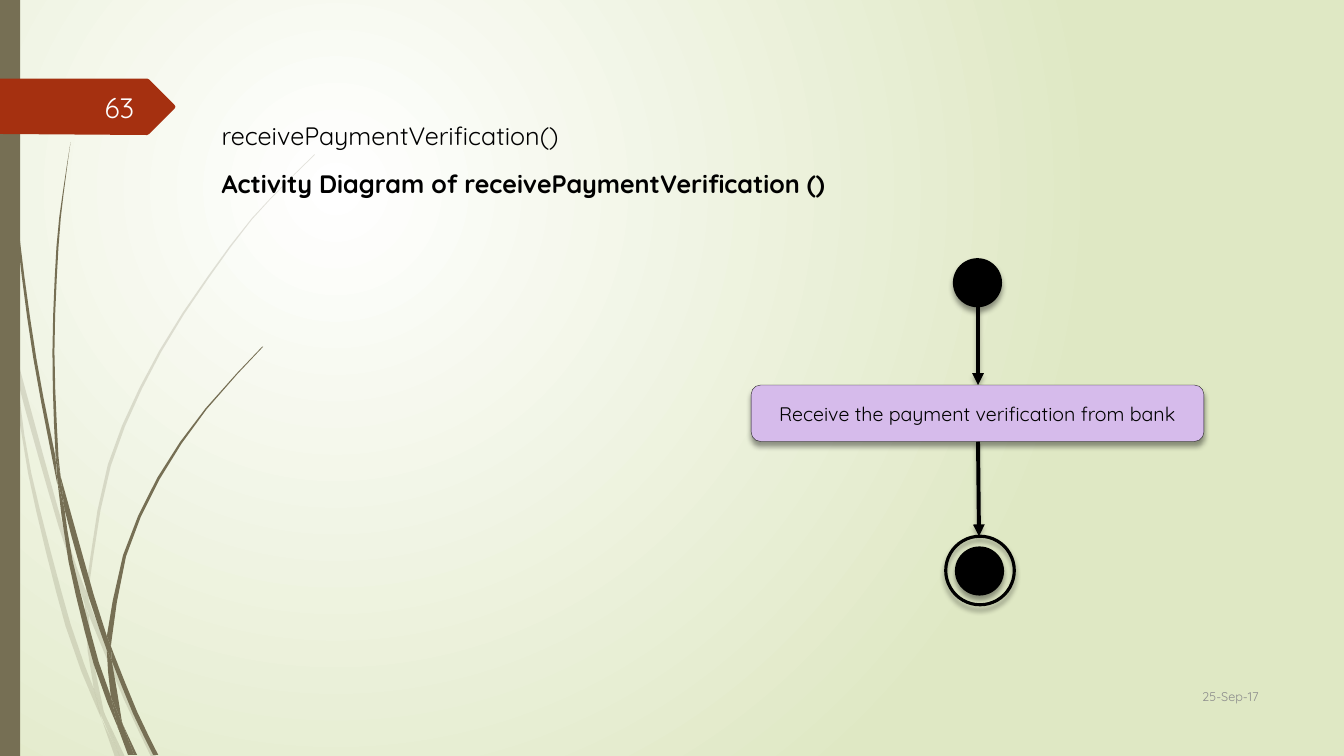
from dataclasses import dataclass
from math import ceil, dist
from typing import Optional

from lxml.etree import SubElement
from pptx import Presentation
from pptx.dml.color import RGBColor
from pptx.enum.shapes import MSO_CONNECTOR, MSO_SHAPE
from pptx.enum.text import MSO_ANCHOR, PP_ALIGN
from pptx.oxml.ns import qn
from pptx.util import Emu, Pt

PX = 9144  # EMU in one px, 100 px to the inch
CURVE_STEP = 45  # longest straight piece of a curve, in px
FONT = "Quicksand"
COLOURS = {
    "white": "FFFFFF", "meadow": "DFE8C4", "stem": "766F54", "banner": "A53010",
    "number": "FEFFFF", "date": "8C8C8C", "ink": "000000", "action": "D6BBEB",
}

Point = tuple[int, int]
Edge = list[Point]
Blade = list[Edge]

# Each blade is closed by smooth edges that meet in corners.
FAINT_BLADES: list[Blade] = [
    [[(11, 350), (9, 322), (0, 282)], [(0, 299), (10, 344)]],
    [[(14, 345), (17, 376), (58, 522), (84, 599)], [(85, 586), (62, 520), (14, 345)]],
    [[(88, 596), (92, 607), (127, 692), (155, 751)], [(150, 751), (123, 694), (88, 610)]],
    [[(105, 711), (124, 751)], [(119, 751)]],
    [[(11, 350), (17, 376), (31, 469), (70, 619), (93, 683), (101, 714)],
     [(92, 693), (65, 621), (28, 470), (11, 350)]],
    [[(84, 599), (87, 646), (93, 683), (96, 692), (105, 711)],
     [(103, 706), (91, 646), (88, 610)]],
    [[(85, 586), (107, 461), (158, 348), (228, 244), (268, 197), (312, 153)],
     [(312, 154), (268, 198), (229, 245), (160, 349), (110, 462), (88, 584), (88, 596)]],
    [[(101, 714), (114, 751)], [(119, 751)]],
    [[(85, 586), (84, 599), (88, 608)], [(88, 596)]],
    [[(93, 683), (99, 707), (119, 751)], [(105, 711), (96, 692)]],
]
DARK_BLADES: list[Blade] = [
    [[(3, 0), (4, 48), (7, 110), (17, 233), (33, 355), (57, 481)],
     [(55, 453), (36, 355), (19, 232), (8, 109), (5, 48), (4, 0)]],
    [[(60, 472), (64, 505), (88, 592), (106, 645)], [(106, 631), (93, 590), (60, 472)]],
    [[(110, 641), (113, 649), (136, 706), (157, 749)], [(152, 749), (132, 708), (111, 656)]],
    [[(57, 477), (68, 557), (93, 659), (117, 722)],
     [(116, 717), (110, 691), (98, 657), (72, 556), (64, 505), (57, 477)]],
    [[(60, 472), (58, 453), (54, 349), (58, 245), (63, 193), (70, 141)],
     [(70, 141), (62, 193), (56, 245), (52, 349), (55, 449), (60, 472)]],
    [[(122, 719), (133, 749)], [(136, 749)]],
    [[(55, 449), (57, 477), (64, 505)], [(60, 472)]],
    [[(111, 633), (125, 552), (158, 476), (205, 406), (261, 344)],
     [(260, 344), (204, 405), (156, 474), (122, 551), (106, 631)], [(110, 641)]],
    [[(117, 722), (127, 749)], [(131, 749)]],
    [[(106, 645), (110, 691), (122, 719)], [(121, 716), (111, 656), (106, 645)]],
    [[(106, 631), (106, 645), (111, 656)], [(110, 641)]],
    [[(110, 691), (117, 722), (130, 749)], [(133, 749), (122, 719), (110, 691)]],
]
BANNER: list[Point] = [(0, 78), (146, 78), (148, 79), (173, 104), (174, 106),
                       (173, 108), (148, 133), (146, 134), (0, 133)]


@dataclass(frozen=True)
class Node:
    left: int
    top: int
    width: int
    height: int
    fill: Optional[str] = "ink"
    line_width: float = 1.25
    kind: MSO_SHAPE = MSO_SHAPE.FLOWCHART_CONNECTOR


@dataclass(frozen=True)
class Arrow:
    start: Point
    end: Point


START = Node(946, 257, 47, 47)
END_DOT = Node(948, 543, 47, 47)
END_RING = Node(938, 532, 68, 68, None, 2.25)
ACTION = Node(745, 382, 449, 56, "action", 0.25, MSO_SHAPE.FLOWCHART_ALTERNATE_PROCESS)
TO_ACTION = Arrow((970, 304), (970, 382))
TO_END = Arrow((970, 438), (971, 532))


def px(*lengths: int) -> list[Emu]:
    return [Emu(length * PX) for length in lengths]


def rgb(name: str) -> RGBColor:
    return RGBColor.from_string(COLOURS[name])


def add_alpha(paint, percent: int) -> None:
    SubElement(paint, qn("a:alpha"), val=str(percent * 1000))


def smooth(edge: Edge) -> list[tuple[float, float]]:
    """Sample a Catmull-Rom curve through the points of an edge."""
    padded = [edge[0], *edge, edge[-1]]
    samples: list[tuple[float, float]] = [edge[0]]
    for a, b, c, d in zip(padded, padded[1:], padded[2:], padded[3:]):
        steps = ceil(dist(b, c) / CURVE_STEP)
        for step in range(1, steps + 1):
            t = step / steps
            x, y = (
                (2 * q + (r - p) * t + (2 * p - 5 * q + 4 * r - s) * t ** 2
                 + (3 * q - p - 3 * r + s) * t ** 3) / 2
                for p, q, r, s in zip(a, b, c, d))
            samples.append((x, y))
    return samples


def paint_flat(shape, fill: str, opacity: int = 100) -> None:
    shape.shadow.inherit = False
    shape.fill.solid()
    shape.fill.fore_color.rgb = rgb(fill)
    shape.line.fill.background()
    if opacity < 100:
        add_alpha(shape._element.spPr.find(f"{qn('a:solidFill')}/{qn('a:srgbClr')}"), opacity)


def add_outline(shapes, points: list):
    scaled = [(round(x * PX), round(y * PX)) for x, y in points]
    builder = shapes.build_freeform(*scaled[0])
    builder.add_line_segments(scaled[1:], close=True)
    return builder.convert_to_shape()


def add_blades(page, blades: list[Blade], opacity: int) -> None:
    group = page.shapes.add_group_shape()
    for blade in blades:
        points = [point for edge in blade for point in smooth(edge)]
        paint_flat(add_outline(group.shapes, points), "stem", opacity)


def add_shadow(effects, opacity: int, blur: int, distance: int) -> None:
    shadow = SubElement(effects, qn("a:outerShdw"), blurRad=str(Pt(blur)),
                        dist=str(Pt(distance)), dir="5400000", rotWithShape="0")
    add_alpha(SubElement(shadow, qn("a:srgbClr"), val=COLOURS["ink"]), opacity)


def write(frame, text: str, size: int, colour: str = "ink", bold: bool = False,
          align: PP_ALIGN = PP_ALIGN.LEFT, anchor: MSO_ANCHOR = MSO_ANCHOR.MIDDLE) -> None:
    frame.word_wrap = True
    frame.vertical_anchor = anchor
    para = frame.paragraphs[0]
    para.alignment = align
    span = para.add_run()
    span.text = text
    span.font.name = FONT
    span.font.size = Pt(size)
    span.font.bold = bold
    span.font.color.rgb = rgb(colour)


def add_text(page, left: int, top: int, width: int, height: int, text: str, **style) -> None:
    box = page.shapes.add_textbox(*px(left, top, width, height))
    write(box.text_frame, text, **style)


def add_node(page, node: Node):
    shape = page.shapes.add_shape(node.kind, *px(node.left, node.top, node.width, node.height))
    if node.fill:
        shape.fill.solid()
        shape.fill.fore_color.rgb = rgb(node.fill)
    else:
        shape.fill.background()
    shape.line.color.rgb = rgb("ink")
    shape.line.width = Pt(node.line_width)
    shape.shadow.inherit = False
    add_shadow(shape._element.spPr.find(qn("a:effectLst")), 40, 4, 3)
    return shape


def add_arrow(page, arrow: Arrow) -> None:
    connector = page.shapes.add_connector(MSO_CONNECTOR.STRAIGHT, *px(*arrow.start, *arrow.end))
    connector.line.color.rgb = rgb("ink")
    connector.line.width = Pt(2.8)
    properties = connector._element.spPr
    SubElement(properties.find(qn("a:ln")), qn("a:tailEnd"), type="triangle")
    add_shadow(SubElement(properties, qn("a:effectLst")), 25, 3, 2)


def paint_background(page) -> None:
    """Spread a round gradient from the upper left."""
    fill = page.background.fill
    fill.gradient()
    for stop, colour, position in zip(fill.gradient_stops, ("white", "meadow"), (0, 1)):
        stop.color.rgb = rgb(colour)
        stop.position = position
    linear = next(page._element.iter(qn("a:lin")))
    gradient = linear.getparent()
    gradient.remove(linear)
    circle = SubElement(gradient, qn("a:path"), path="circle")
    SubElement(circle, qn("a:fillToRect"), l="50000", t="50000", r="100000", b="100000")


def main() -> None:
    deck = Presentation()
    deck.slide_width, deck.slide_height = px(1333, 750)
    page = deck.slides.add_slide(deck.slide_layouts[6])
    paint_background(page)
    add_blades(page, FAINT_BLADES, 20)
    add_blades(page, DARK_BLADES, 100)
    paint_flat(page.shapes.add_shape(MSO_SHAPE.RECTANGLE, *px(0, 0, 20, 750)), "stem")
    paint_flat(add_outline(page.shapes, BANNER), "banner")
    add_text(page, 1133, 670, 125, 41, "25-Sep-17", size=9, colour="date", align=PP_ALIGN.RIGHT)
    add_text(page, 58, 86, 85, 40, "63", size=20, colour="number", align=PP_ALIGN.RIGHT)
    add_node(page, START)
    add_arrow(page, TO_ACTION)
    add_node(page, END_DOT)
    add_node(page, END_RING)
    add_arrow(page, TO_END)
    add_text(page, 210, 114, 1008, 40, "receivePaymentVerification()", size=18,
             anchor=MSO_ANCHOR.TOP)
    add_text(page, 210, 162, 1087, 40, "Activity Diagram of receivePaymentVerification ()",
             size=18, bold=True, anchor=MSO_ANCHOR.TOP)
    action = add_node(page, ACTION)
    add_alpha(action._element.spPr.find(f"{qn('a:ln')}//{qn('a:srgbClr')}"), 88)
    write(action.text_frame, "Receive the payment verification from bank", size=14,
          align=PP_ALIGN.CENTER)
    deck.save("out.pptx")


if __name__ == "__main__":
    main()
